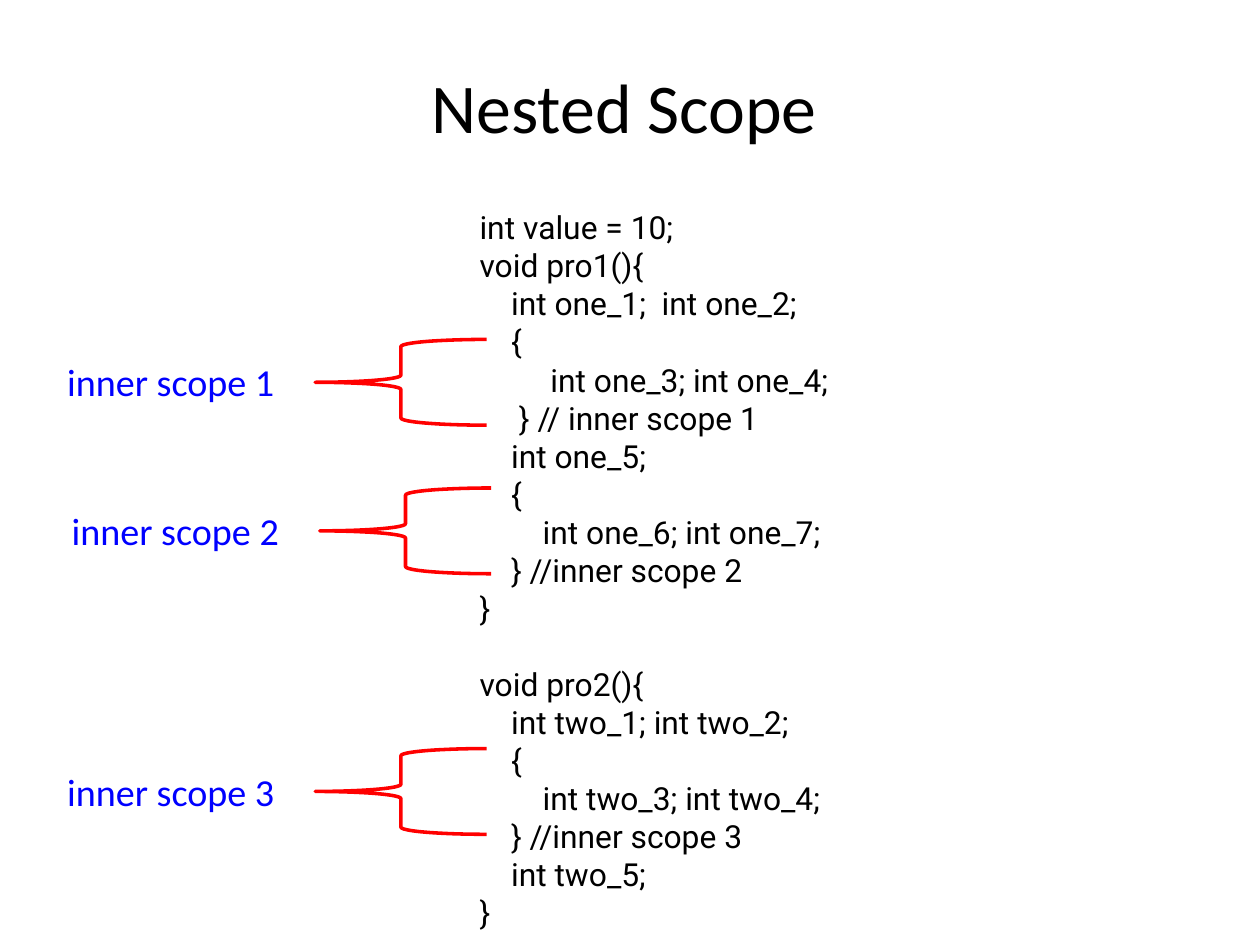
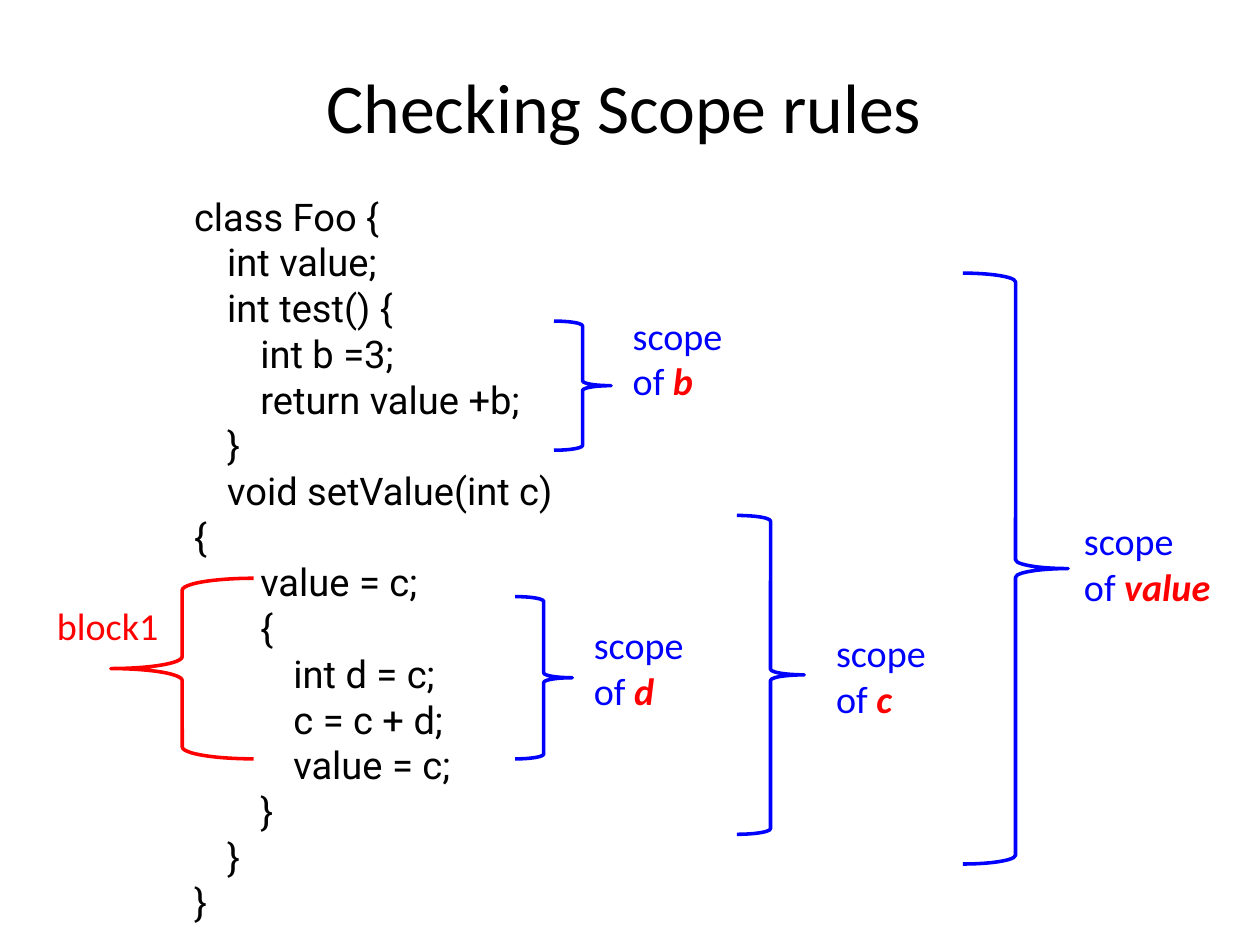
"""Build two slides on nested scopes and scope rules."""
import pptx
import pptx.dml.color
import pptx.enum.shapes
import pptx.enum.text
import pptx.util

Inches, Pt = pptx.util.Inches, pptx.util.Pt
BRACE = pptx.enum.shapes.MSO_SHAPE
COLORS = {"text": "000000", "note": "0000FF", "accent": "FF0000"}
SLIDE_SIZE = (11.03, 8.26)
TITLE_BOX = (0.5, 0.3, 9.93, 1.25)
INDENT = 0.29

TITLE_FORMAT = {"name": "Calibri", "size": Pt(44)}
LABEL_FORMAT = {"name": "Calibri", "size": Pt(24)}
NAME_FORMAT = {**LABEL_FORMAT, "bold": True, "italic": True}

NESTED_CODE = """int value = 10;
void pro1(){
    int one_1;  int one_2;
    {
         int one_3; int one_4;
     } // inner scope 1
    int one_5;
    {
        int one_6; int one_7;
    } //inner scope 2
}
void pro2(){
    int two_1; int two_2;
    {
        int two_3; int two_4;
    } //inner scope 3
    int two_5;
}"""
CLASS_CODE = [
    (0, "class Foo {"),
    (1, "int value;"),
    (1, "int test() {"),
    (2, "int b =3;"),
    (2, "return value +b;"),
    (1, "}"),
    (1, "void setValue(int c) {"),
    (2, "value = c;"),
    (2, "{"),
    (3, "int d = c;"),
    (3, "c = c + d;"),
    (3, "value = c;"),
    (2, "}"),
    (1, "}"),
    (0, "}"),
]
INNER_SCOPES = [(2.76, 2.97), (2.8, 4.27), (2.76, 6.55)]
VARIABLE_SCOPES = [
    ("b", (4.85, 2.81, 0.5, 1.13), (5.44, 2.68)),
    ("d", (4.51, 5.22, 0.5, 1.42), (5.1, 5.39)),
    ("c", (6.45, 4.51, 0.59, 2.79), (7.22, 5.46)),
    ("value", (8.43, 2.39, 0.92, 5.17), (9.39, 4.48)),
]


def rgb(color):
    return pptx.dml.color.RGBColor.from_string(COLORS[color])


def add_run(paragraph, text, formats, color="text"):
    run = paragraph.add_run()
    run.text = text
    for attribute, value in formats.items():
        setattr(run.font, attribute, value)
    run.font.color.rgb = rgb(color)


def add_paragraphs(shapes, box, count):
    frame = shapes.add_textbox(*map(Inches, box)).text_frame
    frame.word_wrap = True
    for _ in range(count - 1):
        frame.add_paragraph()
    return frame.paragraphs


def add_code(slide, box, lines, size):
    formats = {"name": "Roboto", "size": Pt(size)}
    paragraphs = add_paragraphs(slide.shapes, box, len(lines))
    for paragraph, (level, text) in zip(paragraphs, lines):
        if level:
            properties = paragraph._p.get_or_add_pPr()
            properties.set("marL", str(Inches((level - 1) * INDENT)))
            properties.set("indent", str(Inches(INDENT)))
        add_run(paragraph, text, formats)
    return paragraphs


def add_scope(slide, kind, color, brace_box, label_box, label_lines):
    shapes = slide.shapes.add_group_shape().shapes
    brace = shapes.add_shape(kind, *map(Inches, brace_box))
    brace.shadow.inherit = False
    brace.fill.background()
    brace.line.color.rgb = rgb(color)
    brace.line.width = Pt(2.25)
    paragraphs = add_paragraphs(shapes, label_box, len(label_lines))
    for paragraph, runs in zip(paragraphs, label_lines):
        for run in runs:
            add_run(paragraph, *run)


def add_slide(presentation, title):
    slide = presentation.slides.add_slide(presentation.slide_layouts[5])
    shape = slide.shapes.title
    shape.left, shape.top, shape.width, shape.height = map(Inches, TITLE_BOX)
    shape.text_frame.vertical_anchor = pptx.enum.text.MSO_ANCHOR.MIDDLE
    paragraph = shape.text_frame.paragraphs[0]
    paragraph.alignment = pptx.enum.text.PP_ALIGN.CENTER
    add_run(paragraph, title, TITLE_FORMAT)
    return slide


def build_nested_scope(presentation):
    slide = add_slide(presentation, "Nested Scope")
    lines = [(0, line) for line in NESTED_CODE.splitlines()]
    for paragraph in add_code(slide, (4.1, 1.77, 3.33, 6.5), lines, 20):
        if paragraph.text.startswith("void pro2"):
            paragraph.space_before = Pt(23.44)
    for number, (left, top) in enumerate(INNER_SCOPES, 1):
        label = [[(f"inner scope {number}", LABEL_FORMAT, "note")]]
        add_scope(slide, BRACE.LEFT_BRACE, "accent", (left, top, 1.5, 0.75),
                  (left - 2.27, top + 0.12, 2.27, 0.5), label)


def build_scope_rules(presentation):
    slide = add_slide(presentation, "Checking Scope rules")
    add_code(slide, (1.6, 1.64, 3.51, 6.16), CLASS_CODE, 24)
    add_scope(slide, BRACE.LEFT_BRACE, "accent", (0.97, 5.06, 1.25, 1.58),
              (0.4, 5.22, 1.19, 0.5), [[("block1", LABEL_FORMAT, "accent")]])
    for name, brace_box, label_corner in VARIABLE_SCOPES:
        label = [[("scope", LABEL_FORMAT, "note")],
                 [("of ", LABEL_FORMAT, "note"), (name, NAME_FORMAT, "accent")]]
        add_scope(slide, BRACE.RIGHT_BRACE, "note", brace_box,
                  (*label_corner, 1.49, 0.91), label)


def main():
    presentation = pptx.Presentation()
    presentation.slide_width, presentation.slide_height = map(Inches, SLIDE_SIZE)
    build_nested_scope(presentation)
    build_scope_rules(presentation)
    presentation.save("out.pptx")


if __name__ == "__main__":
    main()
